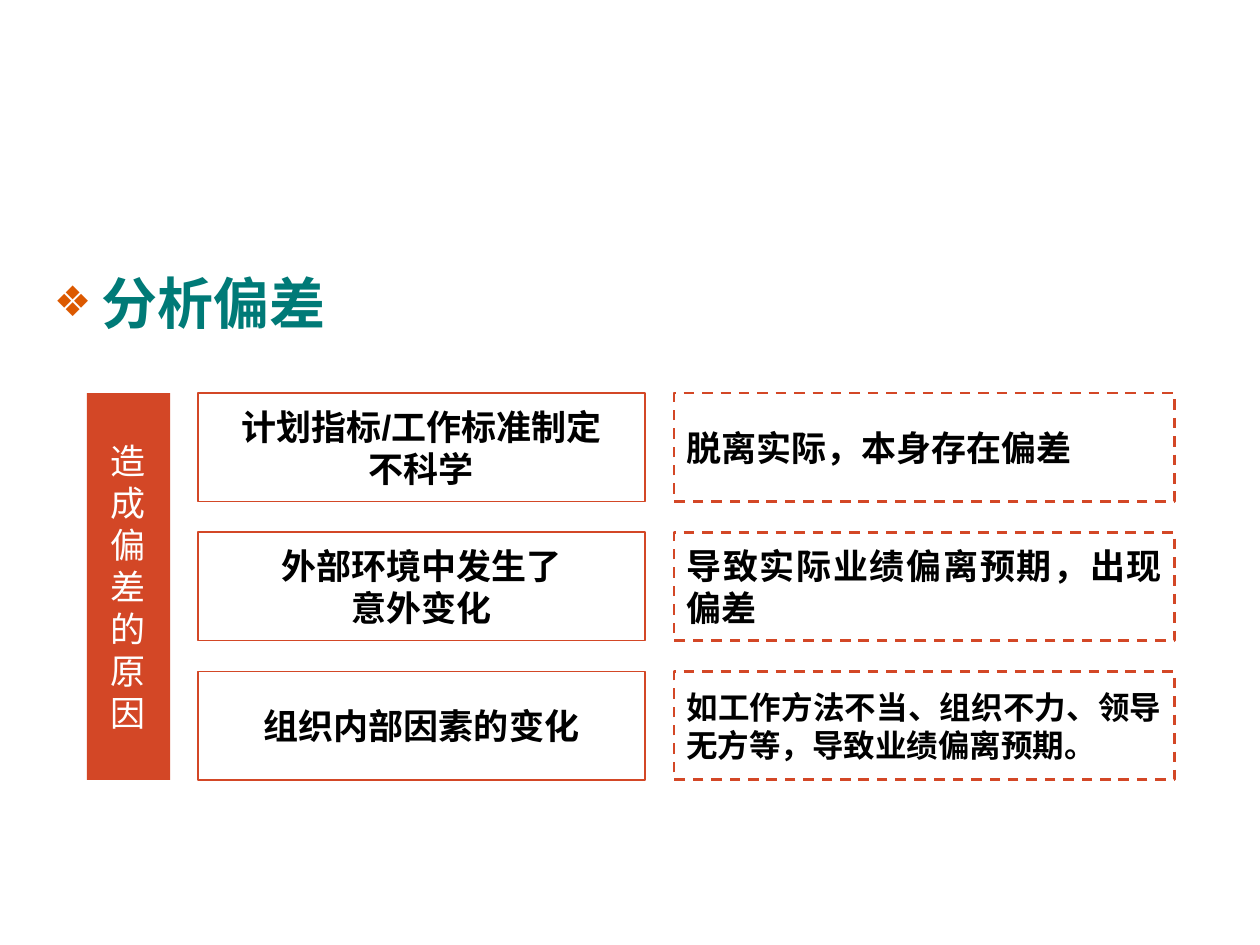
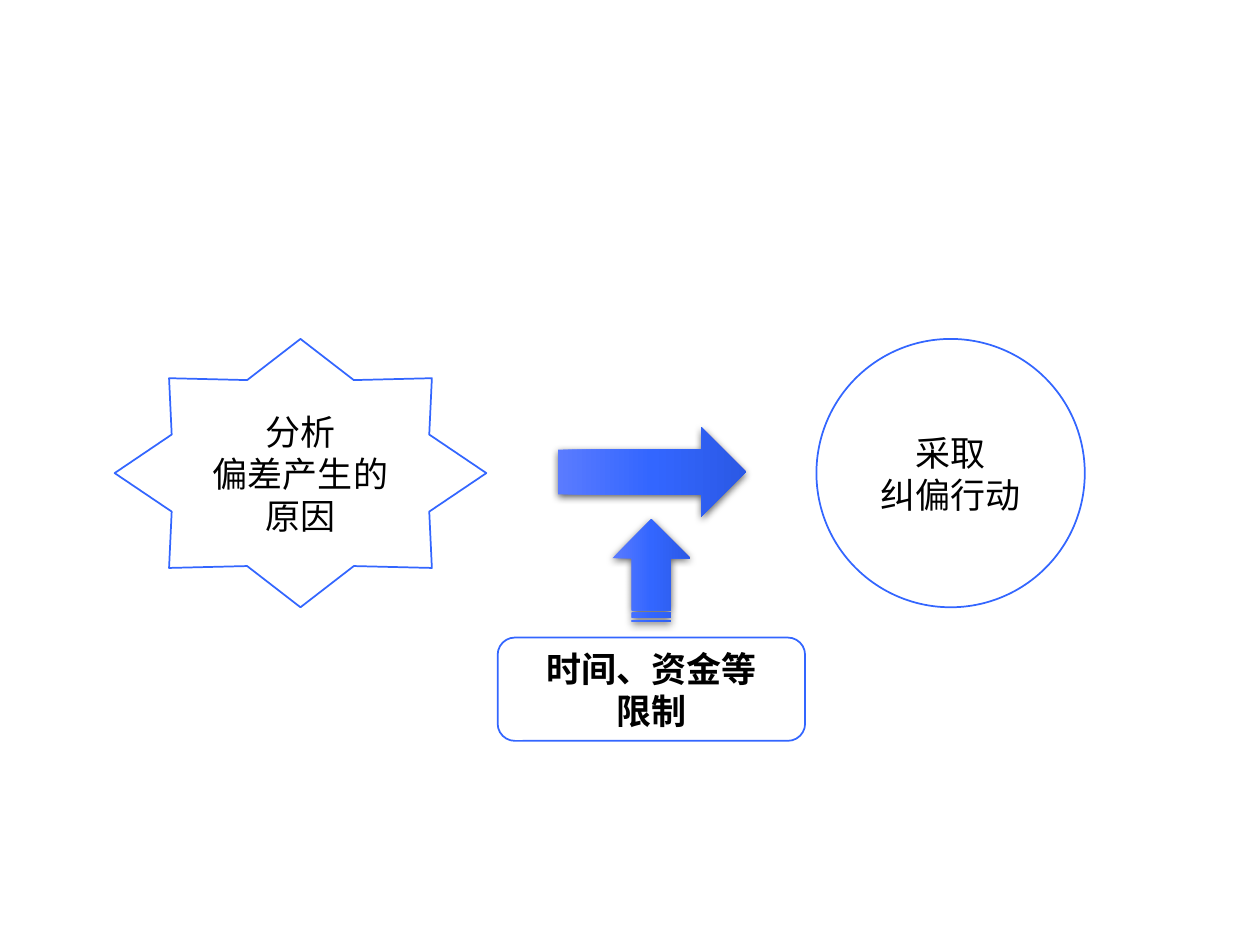
from dataclasses import dataclass

from lxml.etree import SubElement
from pptx import Presentation
from pptx.dml.color import RGBColor
from pptx.enum.dml import MSO_LINE
from pptx.enum.shapes import MSO_SHAPE
from pptx.enum.text import MSO_ANCHOR, PP_ALIGN
from pptx.oxml import parse_xml
from pptx.oxml.ns import nsdecls, qn
from pptx.util import Inches, Pt

# Content
HEADING = "分析偏差"
CAUSES_TITLE = "造成偏差的原因"
# (cause, explanation, explanation size)
CAUSES = [
    (["计划指标/工作标准制定", "不科学"], "脱离实际，本身存在偏差", 20),
    (["外部环境中发生了", "意外变化"], "导致实际业绩偏离预期，出现偏差", 20),
    (["组织内部因素的变化"],
     "如工作方法不当、组织不力、领导无方等，导致业绩偏离预期。", 18),
]
ANALYSIS = ["分析", "偏差产生的", "原因"]
ACTION = ["采取", "纠偏行动"]
LIMITS = ["时间、资金等", "限制"]


@dataclass(frozen=True)
class Theme:
    heading: str = "007A77"
    bullet: str = "DC5900"
    red: str = "D34726"
    blue: str = "3366FF"
    white: str = "FFFFFF"
    black: str = "000000"
    gradient: tuple = ((0, "5A7BFF"), (50, "3366FF"), (100, "2B59E5"))
    latin: str = "Arial"
    chinese: str = "Noto Sans CJK SC"
    heading_size: int = 32
    body_size: int = 20


THEME = Theme()


def add_run(paragraph, text, size, color, bold, font):
    run = paragraph.add_run()
    run.text = text
    run.font.size = Pt(size)
    run.font.bold = bold
    run.font.name = font
    run.font.color.rgb = RGBColor.from_string(color)
    SubElement(run.font._element, qn("a:ea"), typeface=THEME.chinese)


def add_box(slide, kind, place, lines, line=None, fill=THEME.white,
            color=THEME.black, width=1, dash=None, size=THEME.body_size,
            bold=False, align=PP_ALIGN.CENTER):
    """Preset shape with one paragraph for each line of text."""
    box = slide.shapes.add_shape(kind, *map(Inches, place))
    box.shadow.inherit = False
    box.fill.solid()
    box.fill.fore_color.rgb = RGBColor.from_string(fill)
    if line:
        box.line.color.rgb = RGBColor.from_string(line)
        box.line.width = Pt(width)
        if dash:
            box.line.dash_style = dash
    else:
        box.line.fill.background()
    frame = box.text_frame
    frame.word_wrap = True
    frame.vertical_anchor = MSO_ANCHOR.MIDDLE
    for number, text in enumerate(lines):
        paragraph = frame.add_paragraph() if number else frame.paragraphs[0]
        paragraph.alignment = align
        add_run(paragraph, text, size, color, bold,
                THEME.latin if bold else THEME.chinese)


def add_arrow(slide, kind, place):
    """Turned block arrow with a gradient and a soft shadow."""
    arrow = slide.shapes.add_shape(kind, *map(Inches, place))
    arrow.rotation = 270
    arrow.line.fill.background()
    arrow.shadow.inherit = False
    stops = "".join(
        f'<a:gs pos="{position * 1000}"><a:srgbClr val="{color}"/></a:gs>'
        for position, color in THEME.gradient)
    properties = arrow._element.spPr
    properties.find(qn("a:ln")).addprevious(parse_xml(
        f'<a:gradFill {nsdecls("a")} rotWithShape="1"><a:gsLst>{stops}</a:gsLst>'
        '<a:lin ang="5400000" scaled="0"/></a:gradFill>'))
    properties.find(qn("a:effectLst")).append(parse_xml(
        f'<a:outerShdw {nsdecls("a")} blurRad="{Pt(4.5)}" dist="{Pt(1.5)}" '
        'dir="5400000" rotWithShape="0"><a:srgbClr val="000000">'
        '<a:alpha val="63000"/></a:srgbClr></a:outerShdw>'))


def add_heading(slide):
    heading = slide.shapes.add_textbox(*map(Inches, (0.33, 2.08, 9.34, 4.59)))
    heading.text_frame.word_wrap = True
    paragraph = heading.text_frame.paragraphs[0]
    paragraph.space_before = Pt(THEME.heading_size * 0.2)
    add_run(paragraph, HEADING, THEME.heading_size, THEME.heading, True, THEME.latin)
    # Hanging diamond bullet
    bullet = paragraph._p.get_or_add_pPr()
    bullet.set("marL", str(Inches(0.38)))
    bullet.set("indent", str(-Inches(0.38)))
    color = SubElement(bullet, qn("a:buClr"))
    SubElement(color, qn("a:srgbClr"), val=THEME.bullet)
    SubElement(bullet, qn("a:buSzPct"), val="75000")
    SubElement(bullet, qn("a:buFont"), typeface=THEME.latin)
    SubElement(bullet, qn("a:buChar"), char="❖")


def build_causes(slide):
    add_heading(slide)
    top, height, row_height = 3.12, 3.07, 0.86
    pitch = (height - row_height) / (len(CAUSES) - 1)
    add_box(slide, MSO_SHAPE.RECTANGLE, (0.69, top, 0.66, height),
            [CAUSES_TITLE], fill=THEME.red, color=THEME.white)
    for row, (cause, explanation, size) in enumerate(CAUSES):
        y = top + row * pitch
        add_box(slide, MSO_SHAPE.RECTANGLE, (1.57, y, 3.55, row_height),
                cause, THEME.red, bold=True)
        add_box(slide, MSO_SHAPE.RECTANGLE, (5.35, y, 3.97, row_height),
                [explanation], THEME.red, width=1.5, dash=MSO_LINE.DASH,
                size=size, bold=True, align=PP_ALIGN.JUSTIFY)


def build_correction(slide):
    top, height = 2.69, 2.13
    add_box(slide, MSO_SHAPE.STAR_8_POINT, (0.91, top, 2.95, height),
            ANALYSIS, THEME.blue)
    add_arrow(slide, MSO_SHAPE.DOWN_ARROW, (4.82, 3, 0.71, 1.49))
    add_box(slide, MSO_SHAPE.OVAL, (6.48, top, height, height),
            ACTION, THEME.blue)
    # Limits pushing up on the main arrow
    add_box(slide, MSO_SHAPE.ROUNDED_RECTANGLE, (3.95, 5.06, 2.44, 0.82),
            LIMITS, THEME.blue, bold=True)
    add_arrow(slide, MSO_SHAPE.STRIPED_RIGHT_ARROW, (4.76, 4.22, 0.82, 0.62))


def main():
    deck = Presentation()
    deck.slide_width, deck.slide_height = Inches(10), Inches(7.5)
    for build in (build_causes, build_correction):
        build(deck.slides.add_slide(deck.slide_layouts[6]))
    deck.save("out.pptx")


if __name__ == "__main__":
    main()
